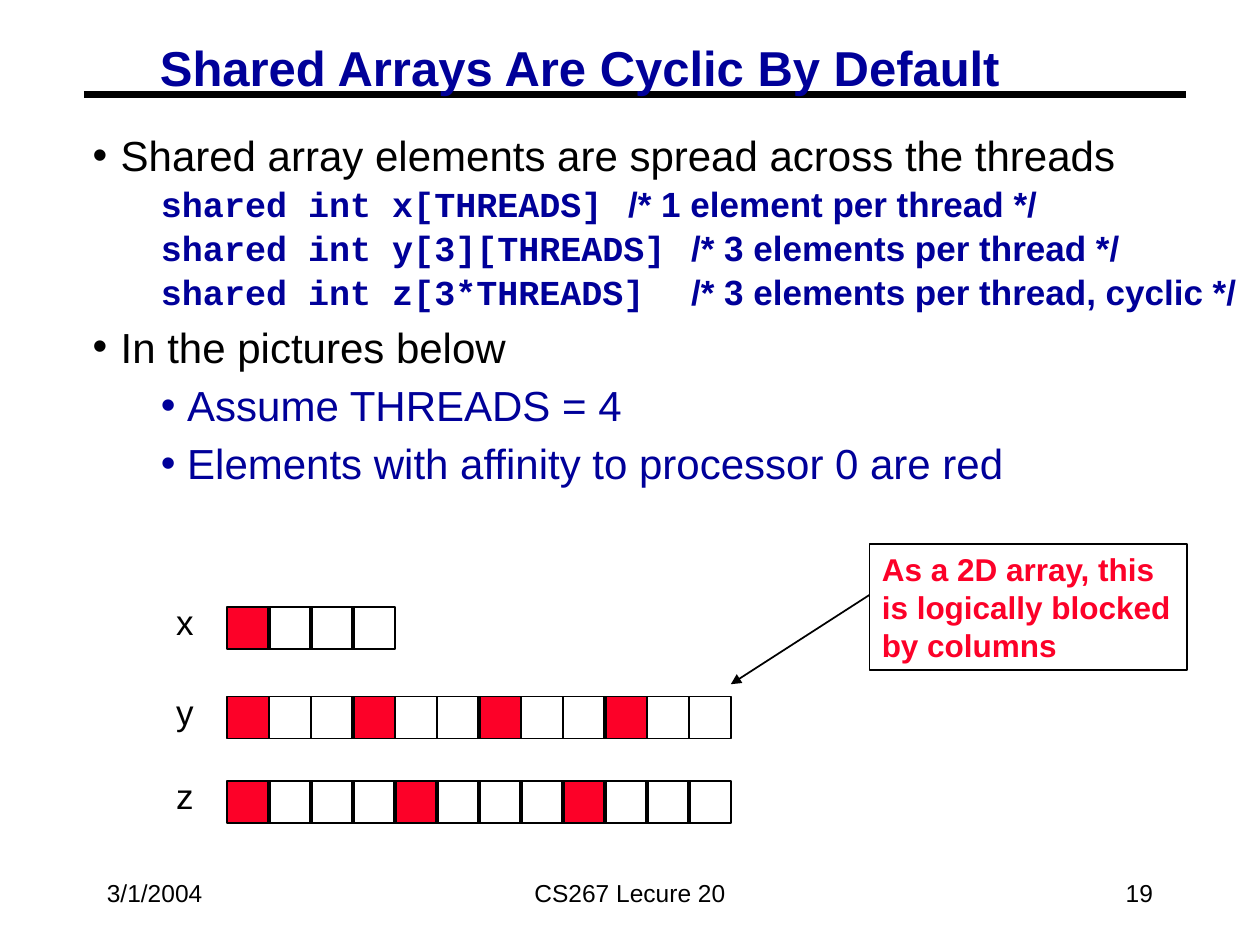
import pptx
import pptx.util
import pptx.dml.color
import pptx.enum.shapes
import pptx.enum.text
import pptx.oxml
from lxml import etree

Pt = pptx.util.Pt
ALIGN = pptx.enum.text.PP_ALIGN
ANCHOR = pptx.enum.text.MSO_ANCHOR
NS = "http://schemas.openxmlformats.org/drawingml/2006/main"

COLORS = {"black": "000000", "navy": "000099", "red": "FC0128"}

TITLE = "Shared Arrays Are Cyclic By Default"
# kind, text; code lines add a comment and the tab stop it starts at
BODY = [
    ("point", "Shared array elements are spread across the threads"),
    ("code", "shared int x[THREADS]", "/* 1 element per thread */", 324.5),
    ("code", "shared int y[3][THREADS]", "/* 3 elements per thread */", 338.5),
    ("code", "shared int z[3*THREADS]", "/* 3 elements per thread, cyclic */", 332),
    ("point", "In the pictures below"),
    ("subpoint", "Assume THREADS = 4"),
    ("subpoint", "Elements with affinity to processor 0 are red"),
]
# kind: level, left margin, first line indent, space before, colour
STYLES = {
    "point": (0, 16, -16, 4.5, "black"),
    "code": (1, 54, -15, 3.7, "navy"),
    "subpoint": (1, 54, -15, 4.5, "navy"),
}
# name, top, cell count, cells between reds, cells between dividers, label width
ARRAYS = [
    ("x", 347, 4, 4, 1, 24),
    ("y", 398, 12, 3, 3, 508),
    ("z", 446.4, 12, 4, 1, 461),
]
CELL = 24
ARRAY_LEFT = 129.8
CALLOUT = "As a 2D array, this is logically blocked by columns"
FOOTER = [
    ("CS267 Lecure 20", 246, 228, ALIGN.CENTER),
    ("19", 516, 150, ALIGN.RIGHT),
    ("3/1/2004", 54, 150, ALIGN.LEFT),
]


def rgb(color):
    return pptx.dml.color.RGBColor.from_string(COLORS[color])


def format_run(run, size, color, bold=False, name="Arial"):
    run.font.size = Pt(size)
    run.font.name = name
    run.font.bold = bold
    run.font.color.rgb = rgb(color)


def set_frame(frame, side, edge, anchor=ANCHOR.TOP):
    frame.word_wrap = True
    frame.auto_size = pptx.enum.text.MSO_AUTO_SIZE.NONE
    frame.vertical_anchor = anchor
    frame.margin_left = frame.margin_right = Pt(side)
    frame.margin_top = frame.margin_bottom = Pt(edge)


def place(shape, left, top, width, height):
    shape.left, shape.top = Pt(left), Pt(top)
    shape.width, shape.height = Pt(width), Pt(height)


def add_label(slide, text, left, top, width, height, size, align=ALIGN.LEFT, anchor=ANCHOR.TOP):
    box = slide.shapes.add_textbox(Pt(left), Pt(top), Pt(width), Pt(height))
    set_frame(box.text_frame, 7.2, 3.6, anchor)
    box.text_frame.text = text
    para = box.text_frame.paragraphs[0]
    para.alignment = align
    format_run(para.runs[0], size, "black")


def add_rectangle(slide, left, top, width, height, fill=None):
    shape = slide.shapes.add_shape(
        pptx.enum.shapes.MSO_SHAPE.RECTANGLE, Pt(left), Pt(top), Pt(width), Pt(height))
    shape.shadow.inherit = False
    if fill:
        shape.fill.solid()
        shape.fill.fore_color.rgb = rgb(fill)
    else:
        shape.fill.background()
    shape.line.color.rgb = rgb("black")
    shape.line.width = Pt(1)
    return shape


def add_line(slide, start, end, width, arrow=False):
    line = slide.shapes.add_connector(
        pptx.enum.shapes.MSO_CONNECTOR.STRAIGHT, *(Pt(value) for value in start + end))
    line.line.color.rgb = rgb("black")
    line.line.width = Pt(width)
    if arrow:
        etree.SubElement(line.line._get_or_add_ln(), f"{{{NS}}}tailEnd", type="triangle")
    etree.SubElement(line._element.spPr, f"{{{NS}}}effectLst")
    return line


def add_list_xml(para, *fragments):
    properties = para._p.get_or_add_pPr()
    for fragment in fragments:
        tag, rest = fragment.split(">", 1)
        properties.append(pptx.oxml.parse_xml(f'{tag} xmlns:a="{NS}">{rest}'))


def fill_title(title):
    place(title, 86.4, 23.8, 614.9, 33.1)
    set_frame(title.text_frame, 5, 2.2)
    title.text_frame.text = TITLE
    para = title.text_frame.paragraphs[0]
    para.alignment = ALIGN.LEFT
    para.line_spacing = 0.87
    format_run(para.runs[0], 28, "navy", bold=True)


def fill_body(body):
    place(body, 48, 72, 672, 216)
    frame = body.text_frame
    set_frame(frame, 5, 2.2)
    for index, (kind, text, *comment) in enumerate(BODY):
        level, margin, indent, before, color = STYLES[kind]
        para = frame.add_paragraph() if index else frame.paragraphs[0]
        para.level = level
        para.space_before = Pt(before if index else 0)
        properties = para._p.get_or_add_pPr()
        properties.set("marL", str(Pt(margin)))
        properties.set("indent", str(Pt(indent)))
        if comment:
            note, stop = comment
            para.line_spacing = 0.9
            add_list_xml(
                para, "<a:buNone></a:buNone>",
                f'<a:tabLst><a:tab pos="{Pt(stop)}" algn="l"/></a:tabLst>')
            para.text = f"{text}\t{note}"
            para.runs[0].text = text
            span = para.add_run()
            span.text = f"\t{note}"
            format_run(para.runs[0], 20, color, True, "Courier New")
            format_run(span, 20, color, True)
        else:
            add_list_xml(
                para, f'<a:buClr><a:srgbClr val="{COLORS[color]}"/></a:buClr>',
                '<a:buFont typeface="Arial"></a:buFont>'.replace(' typeface="Arial">', ' typeface="Arial">'),
                '<a:buChar char="•"></a:buChar>')
            para.text = text
            format_run(para.runs[0], 24, color)


def draw_array(slide, name, top, count, red_step, divider_step, label_width):
    for index in range(count):
        add_rectangle(slide, ARRAY_LEFT + index * CELL, top, CELL, CELL,
                      None if index % red_step else "red")
    for index in range(divider_step, count, divider_step):
        x = ARRAY_LEFT + index * CELL
        add_line(slide, (x, top + CELL), (x, top), 2.25)
    add_label(slide, name, 93.6, top - 7.2, label_width, 31.7, 20)


def draw_callout(slide):
    callout = add_rectangle(slide, 496.8, 311, 181.4, 72)
    set_frame(callout.text_frame, 7.2, 3.6)
    callout.text_frame.text = CALLOUT
    para = callout.text_frame.paragraphs[0]
    para.alignment = ALIGN.LEFT
    format_run(para.runs[0], 18, "red", bold=True)
    add_line(slide, (496.8, 340), (417.6, 391), 1, arrow=True)


def main():
    deck = pptx.Presentation()
    deck.slide_width, deck.slide_height = Pt(720), Pt(540)
    slide = deck.slides.add_slide(deck.slide_layouts[1])
    rule = add_line(slide, (48, 54), (678, 54), 3.75)
    slide.shapes._spTree.insert(2, rule._element)  # behind the title
    fill_title(slide.shapes.title)
    fill_body(slide.placeholders[1])
    for array in ARRAYS:
        draw_array(slide, *array)
    draw_callout(slide)
    for text, left, width, align in FOOTER:
        add_label(slide, text, left, 492, width, 36, 14, align, ANCHOR.MIDDLE)
    deck.save("out.pptx")


if __name__ == "__main__":
    main()
